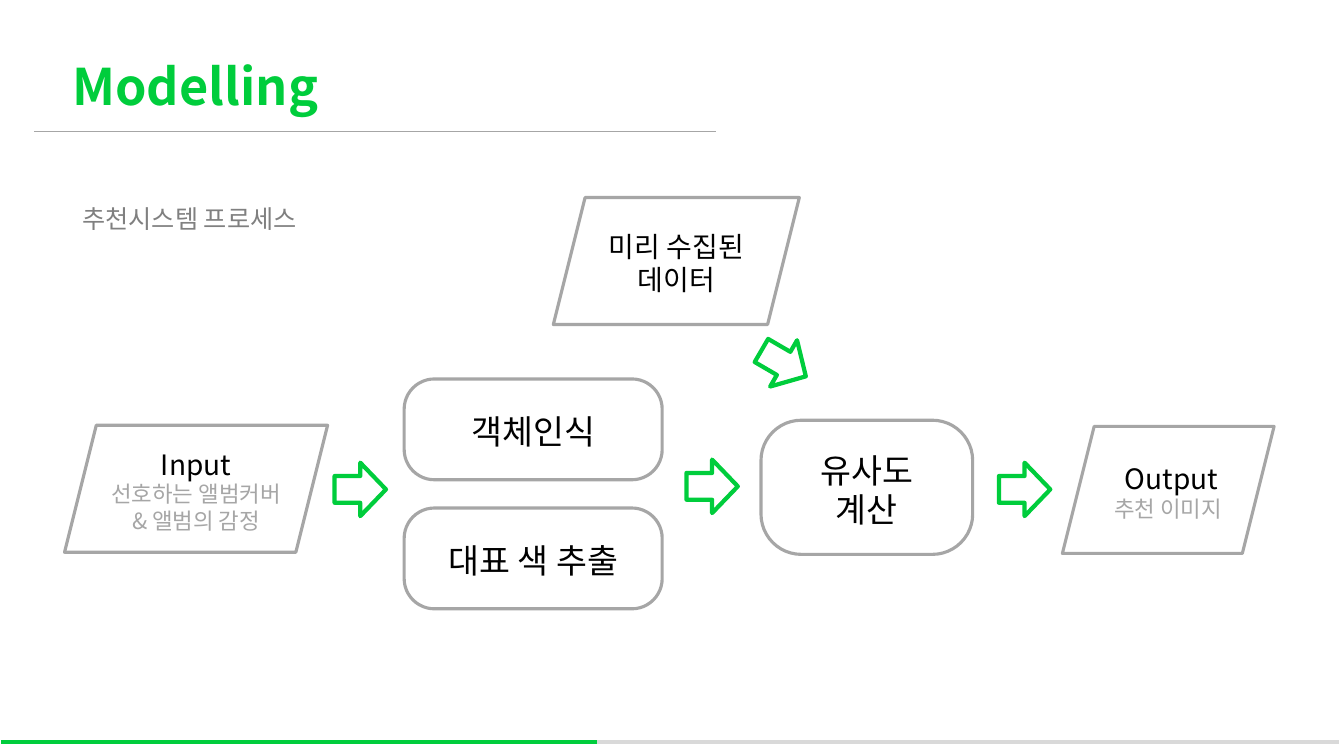
from lxml import etree
from pptx import Presentation
from pptx.dml.color import RGBColor
from pptx.enum.shapes import MSO_CONNECTOR, MSO_SHAPE
from pptx.enum.text import MSO_ANCHOR, PP_ALIGN
from pptx.oxml.ns import qn
from pptx.util import Pt

STRAIGHT = MSO_CONNECTOR.STRAIGHT
ROUNDED = MSO_SHAPE.ROUNDED_RECTANGLE
SLANTED = MSO_SHAPE.PARALLELOGRAM
ARROW = MSO_SHAPE.RIGHT_ARROW
MIDDLE, TOP = MSO_ANCHOR.MIDDLE, MSO_ANCHOR.TOP
CENTER, LEFT = PP_ALIGN.CENTER, PP_ALIGN.LEFT
FONT = "Noto Sans CJK KR"
COLORS = {"green": "00CD3C", "gray": "A6A6A6", "light": "D9D9D9",
          "dim": "808080", "black": "000000", "white": "FFFFFF"}


def color(name):
    return RGBColor.from_string(COLORS[name])


def write(tf, text, size=24, fill="black", bold=False, align=CENTER, leading=1.3, first=True):
    for i, line in enumerate(text.split("\n")):
        p = tf.paragraphs[0] if first and i == 0 else tf.add_paragraph()
        p.alignment = align
        p.line_spacing = Pt(round(size * leading))
        r = p.add_run()
        r.text = line
        r.font.size = Pt(size)
        r.font.bold = bold
        r.font.name = FONT
        r.font.color.rgb = color(fill)
        etree.SubElement(r.font._element, qn("a:ea")).set("typeface", FONT)


prs = Presentation()
prs.slide_width, prs.slide_height = Pt(960), Pt(540)
s = prs.slides.add_slide(prs.slide_layouts[6])

headings = [
    ("Modelling", 44.6, 31.7, 198, 51.1, 36, "green", True),
    ("추천시스템 프로세스", 51.8, 140.4, 176.4, 28.8, 18, "dim", False),
]
for text, x, y, w, h, size, fill, bold in headings:
    tf = s.shapes.add_textbox(Pt(x), Pt(y), Pt(w), Pt(h)).text_frame
    tf.word_wrap = True
    tf.vertical_anchor = TOP
    write(tf, text, size=size, fill=fill, bold=bold, align=LEFT)

rules = [
    (24.5, 511.2, 93.6, "gray", 0.75),
    (3.6, 956.2, 530, "light", 2.25),
    (0.7, 426.2, 530, "green", 2.25),
]
for x1, x2, y, fill, width in rules:
    rule = s.shapes.add_connector(STRAIGHT, Pt(x1), Pt(y), Pt(x2), Pt(y))
    rule.line.color.rgb = color(fill)
    rule.line.width = Pt(width)
    etree.SubElement(rule._element.spPr, qn("a:effectLst"))

steps = [
    (ROUNDED, 288.7, 270.7, 184.3, 72, [("객체인식", 24, "black")]),
    (ROUNDED, 288.7, 362.9, 184.3, 72, [("대표 색 추출", 24, "black")]),
    (ROUNDED, 543.6, 300.2, 151.2, 95.8, [("유사도\n계산", 24, "black")]),
    (SLANTED, 395.3, 141.1, 175.7, 90.7, [("미리 수집된\n데이터", 20, "black")]),
    (SLANTED, 46.1, 303.8, 187.9, 90.7,
     [("Input", 20, "black"), ("선호하는 앨범커버\n& 앨범의 감정", 16, "gray")]),
    (SLANTED, 758.9, 304.6, 151.2, 90.7,
     [(" Output", 20, "black"), ("추천 이미지", 16, "gray")]),
]
for kind, x, y, w, h, blocks in steps:
    sp = s.shapes.add_shape(kind, Pt(x), Pt(y), Pt(w), Pt(h))
    sp.shadow.inherit = False
    sp.fill.solid()
    sp.fill.fore_color.rgb = color("white")
    sp.line.color.rgb = color("gray")
    sp.line.width = Pt(2.25)
    if kind == ROUNDED:
        sp.adjustments[0] = 0.3
    tf = sp.text_frame
    tf.word_wrap = True
    tf.vertical_anchor = MIDDLE
    multiline = len(blocks) > 1 or "\n" in blocks[0][0]
    if multiline:
        tf.margin_top = Pt(7)
    for i, (text, size, fill) in enumerate(blocks):
        write(tf, text, size=size, fill=fill, leading=1.17 if multiline else 1.3, first=i == 0)

for x, y, angle in [(239, 330.5, 0), (490.3, 328.3, 0), (541.4, 240.5, 30.2), (713.5, 330.5, 0)]:
    sp = s.shapes.add_shape(ARROW, Pt(x), Pt(y), Pt(36.7), Pt(38.2))
    sp.rotation = angle
    sp.shadow.inherit = False
    sp.fill.solid()
    sp.fill.fore_color.rgb = color("white")
    sp.line.color.rgb = color("green")
    sp.line.width = Pt(3)

prs.save("out.pptx")
